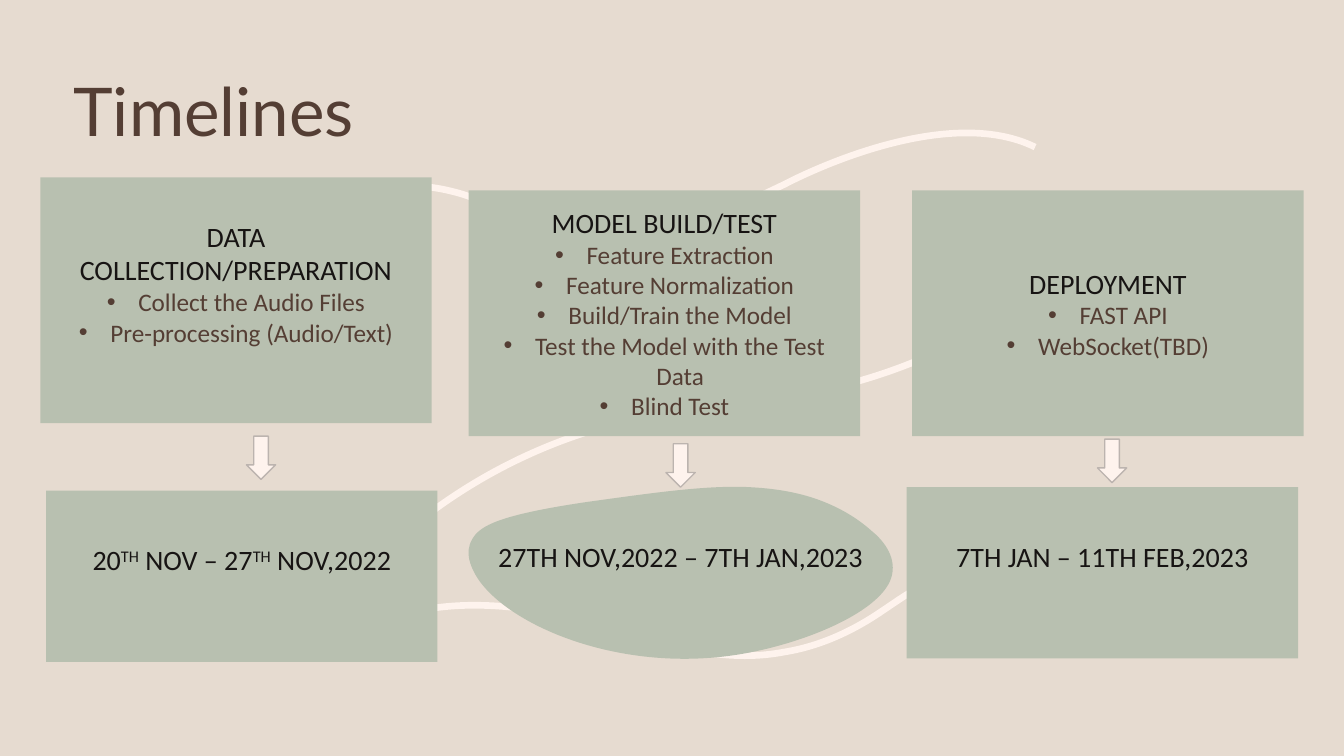
from lxml.etree import SubElement
from pptx import Presentation
from pptx.dml.color import RGBColor
from pptx.enum.shapes import MSO_SHAPE as Preset
from pptx.enum.text import MSO_ANCHOR as Anchor, PP_ALIGN as Align
from pptx.oxml.ns import qn
from pptx.util import Pt

SAND = RGBColor(0xE6, 0xDB, 0xD0)
CREAM = RGBColor(0xFE, 0xF3, 0xED)
SAGE = RGBColor(0xB8, 0xC0, 0xB0)
BROWN = RGBColor(0x54, 0x3E, 0x34)
INK = RGBColor(0x17, 0x14, 0x13)
ARROW_EDGE = RGBColor(0xBC, 0xB4, 0xAF)

# Content: left, top, bottom inset, heading, bullets
PHASES = [
    (28.8, 126.7, 28, "DATA COLLECTION/PREPARATION",
     ["Collect the Audio Files", "Pre-processing (Audio/Text)"]),
    (651.6, 135.9, 3.6, "DEPLOYMENT", ["FAST API", "WebSocket(TBD)"]),
    (334.8, 135.9, 3.6, "MODEL BUILD/TEST",
     ["Feature Extraction", "Feature Normalization", "Build/Train the Model",
      "Test the Model with the Test Data", "Blind Test"]),
]
# Date runs: text, raised or not
FIRST_DATES = [("20", False), ("TH", True), (" NOV – 27", False),
               ("TH", True), (" NOV,2022", False)]
MIDDLE_DATES = [("27TH NOV,2022 – 7TH JAN,2023", False)]
LAST_DATES = [("7TH JAN – 11TH FEB,2023", False)]
DATE_BOXES = [(647.7, 347.9, LAST_DATES), (32.9, 350.4, FIRST_DATES)]
ARROWS = [(176, 311.5), (475.7, 317), (783.9, 313.7)]
BOX_WIDTH, PHASE_HEIGHT, DATE_HEIGHT = 279.6, 175.6, 122.5
DATE_INSET = 27.5
BULLET_INDENT = 22.5

# Bezier chains: a start point, then three points for each segment
SWIRLS = [
    [(599.8, 275.8), (657.4, 261.4), (709.2, 235.4), (753.8, 198)],
    [(420.5, 308.2), (366.5, 325.4), (320.4, 352.8), (280.1, 388.1)],
    [(221, 160.6), (252, 134.6), (286.6, 127.4), (323.3, 136.8),
     (335.5, 139.7), (346.3, 144.7), (357.8, 150.5),
     (381.6, 161.3), (406.8, 169.2), (434.9, 169.9),
     (458.6, 169.9), (482.4, 164.9), (504.7, 156.2),
     (530.6, 146.2), (545, 139), (560.2, 131.8),
     (576.7, 123.1), (676.8, 74.2), (739.4, 105.1)],
    [(662.4, 416.9), (650.9, 421.9), (642.2, 428.4), (631.4, 435.6),
     (610.6, 450), (586.8, 461.5), (560.2, 465.8),
     (537.1, 470.2), (514.1, 468.7), (490.3, 463.7),
     (464.4, 457.9), (449.3, 452.9), (433.4, 447.8),
     (416.2, 442.8), (312.5, 410.4), (249.8, 457.9)],
]
BLOB = [(531.4, 347.8), (549.4, 348.5), (565.2, 350.6), (581, 355.7),
        (602.6, 362.9), (615.6, 373), (622.8, 379.4),
        (630, 385.2), (640.1, 396.7), (637.2, 410.4),
        (632.2, 436.3), (573.1, 460.8), (524.2, 468),
        (435.6, 481), (353.5, 442.1), (337.7, 406.8),
        (335.5, 401.8), (331.2, 391.7), (339.8, 381.6),
        (346.3, 374.4), (360.7, 367.2), (419, 358.6),
        (465.8, 352.1), (501.1, 347), (531.4, 347.8)]


def curve_bounds(chain, steps=16):
    points = [chain[0]]
    for i in range(0, len(chain) - 1, 3):
        for step in range(1, steps + 1):
            t = step / steps
            weights = ((1 - t) ** 3, 3 * t * (1 - t) ** 2,
                       3 * t * t * (1 - t), t ** 3)
            points.append([
                sum(w * corner[axis] for w, corner in zip(weights, chain[i:i + 4]))
                for axis in (0, 1)])
    xs, ys = zip(*points)
    return Pt(min(xs)), Pt(min(ys)), Pt(max(xs)), Pt(max(ys))


def add_curve(slide, chain, close):
    # The frame is the curve's bounding box
    left, top, right, bottom = curve_bounds(chain)
    builder = slide.shapes.build_freeform(left, top)
    builder.add_line_segments([(right, bottom)], close=close)
    shape = builder.convert_to_shape()
    shape.shadow.inherit = False

    # The outline inside it is made of Bezier segments
    outline = next(shape._element.iter(qn("a:path")))
    for child in list(outline):
        outline.remove(child)
    segments = [("a:moveTo", chain[:1])]
    segments += [("a:cubicBezTo", chain[i:i + 3]) for i in range(1, len(chain), 3)]
    for tag, points in segments:
        segment = SubElement(outline, qn(tag))
        for x, y in points:
            SubElement(segment, qn("a:pt"), x=str(Pt(x) - left), y=str(Pt(y) - top))
    if close:
        SubElement(outline, qn("a:close"))
    return shape


def add_preset(slide, preset, left, top, width, height, color):
    shape = slide.shapes.add_shape(preset, Pt(left), Pt(top), Pt(width), Pt(height))
    shape.shadow.inherit = False
    shape.fill.solid()
    shape.fill.fore_color.rgb = color
    shape.line.fill.background()
    return shape


def add_run(paragraph, text, size, color, font="Calibri"):
    run = paragraph.add_run()
    run.text = text
    run.font.size = Pt(size)
    run.font.name = font
    run.font.color.rgb = color
    return run


def set_frame(shape, bottom_inset):
    frame = shape.text_frame
    frame.word_wrap = True
    frame.vertical_anchor = Anchor.MIDDLE
    frame.margin_bottom = Pt(bottom_inset)
    frame.paragraphs[0].alignment = Align.CENTER
    return frame


def add_bullet(frame, text):
    paragraph = frame.add_paragraph()
    paragraph.alignment = Align.CENTER
    properties = paragraph._p.get_or_add_pPr()
    properties.set("marL", str(Pt(BULLET_INDENT)))
    properties.set("indent", str(-Pt(BULLET_INDENT)))
    SubElement(properties, qn("a:buFont"), typeface="Arial")
    SubElement(properties, qn("a:buChar"), char="•")
    add_run(paragraph, text, 18, BROWN)


def write_dates(shape, dates):
    paragraph = set_frame(shape, DATE_INSET).paragraphs[0]
    for text, raised in dates:
        run = add_run(paragraph, text, 20, INK)
        if raised:
            run.font._element.set("baseline", "30000")


def main():
    presentation = Presentation()
    presentation.slide_width, presentation.slide_height = Pt(960), Pt(540)
    slide = presentation.slides.add_slide(presentation.slide_layouts[6])
    slide.background.fill.solid()
    slide.background.fill.fore_color.rgb = SAND

    # Background swirls
    for chain in SWIRLS:
        swirl = add_curve(slide, chain, close=False)
        swirl.fill.background()
        swirl.line.color.rgb = CREAM
        swirl.line.width = Pt(4.75)

    # Title
    title = slide.shapes.add_textbox(Pt(45.4), Pt(55.4), Pt(720), Pt(53.3))
    frame = title.text_frame
    frame.word_wrap = True
    frame.vertical_anchor = Anchor.MIDDLE
    frame.paragraphs[0].line_spacing = 0.9
    add_run(frame.paragraphs[0], "Timelines", 48, BROWN, "Lato")

    # Phases
    for left, top, inset, heading, bullets in PHASES:
        box = add_preset(slide, Preset.RECTANGLE, left, top,
                         BOX_WIDTH, PHASE_HEIGHT, SAGE)
        frame = set_frame(box, inset)
        add_run(frame.paragraphs[0], heading, 20, INK)
        for bullet in bullets:
            add_bullet(frame, bullet)

    # Dates
    for left, top, dates in DATE_BOXES:
        box = add_preset(slide, Preset.RECTANGLE, left, top,
                         BOX_WIDTH, DATE_HEIGHT, SAGE)
        write_dates(box, dates)
    blob = add_curve(slide, BLOB, close=True)
    blob.fill.solid()
    blob.fill.fore_color.rgb = SAGE
    blob.line.fill.background()
    write_dates(blob, MIDDLE_DATES)

    # Arrows from phases to dates
    for left, top in ARROWS:
        arrow = add_preset(slide, Preset.DOWN_ARROW, left, top, 20.9, 31, CREAM)
        arrow.line.color.rgb = ARROW_EDGE
        arrow.line.width = Pt(1)

    presentation.save("out.pptx")


if __name__ == "__main__":
    main()
